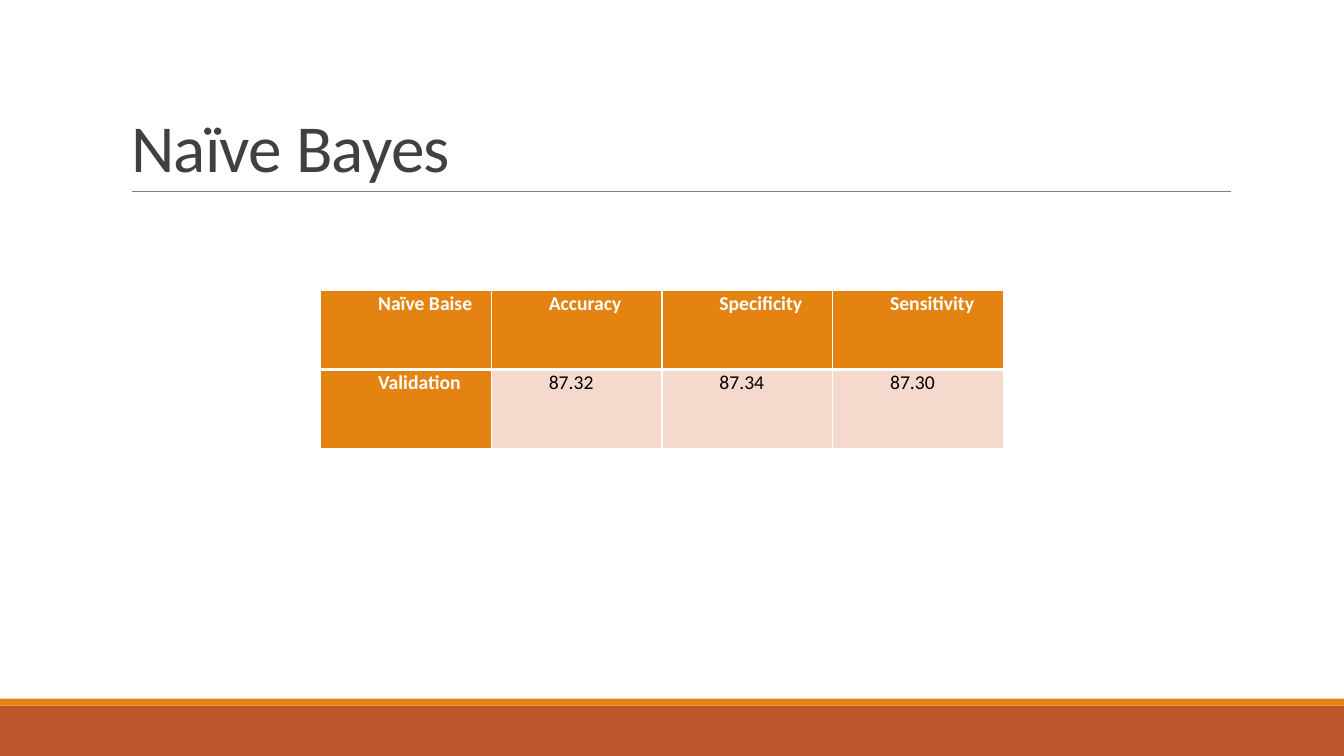
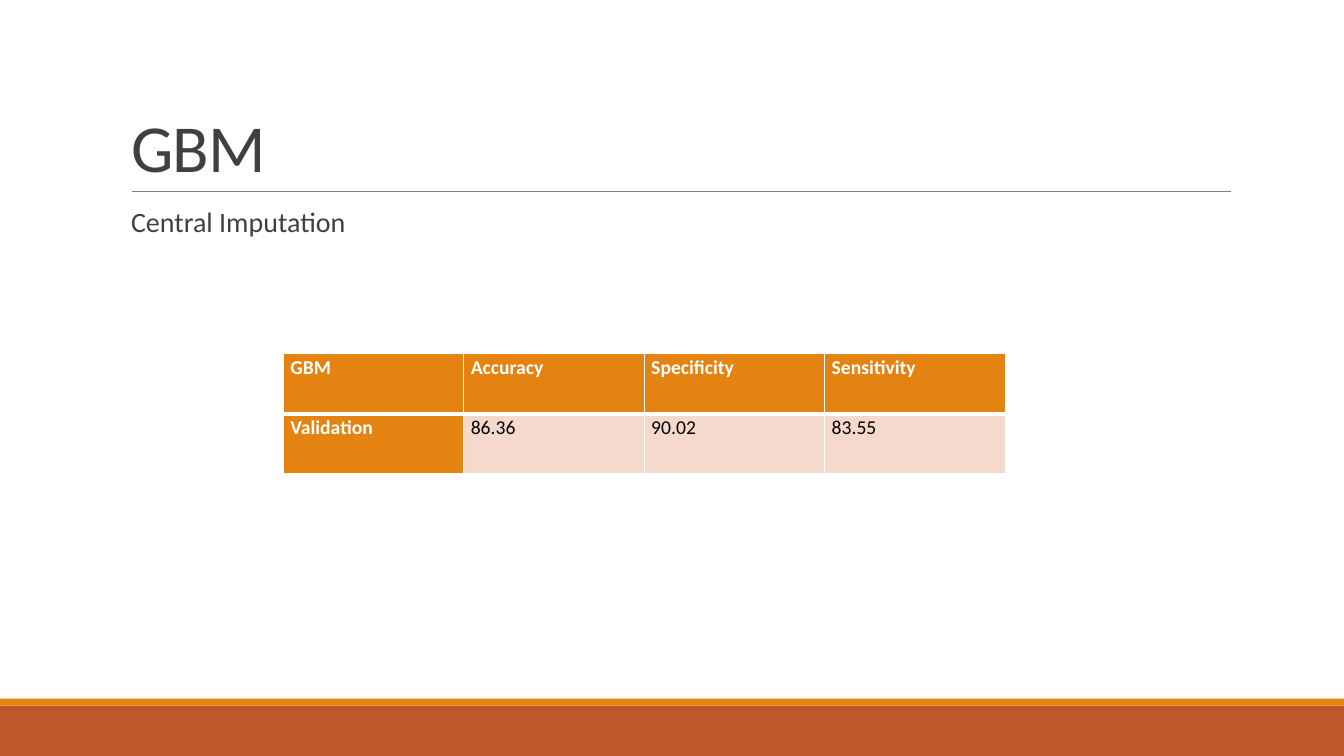
"""Build two slides that report classifier validation scores."""
from lxml.etree import SubElement
from pptx import Presentation
from pptx.dml.color import RGBColor
from pptx.enum.shapes import MSO_CONNECTOR, MSO_SHAPE
from pptx.enum.text import MSO_ANCHOR, MSO_AUTO_SIZE, PP_ALIGN
from pptx.oxml.ns import qn
from pptx.util import Inches, Pt

WIDTH, HEIGHT = Inches(13.33), Inches(7.5)
FONT = "Calibri"
COLORS = {
    "band": "BD582C",
    "accent": "E48312",
    "rule": "808080",
    "text": "404040",
    "white": "FFFFFF",
    "black": "000000",
    "tint": "F5D9CC",
}
LEFT, SPAN = 9, 82.5
TITLE_TOP, TITLE_HEIGHT = 4.13, 21.2
RULE_START, RULE_END = 9.83, 91.6
BANDS = [("band", 93.33, 6.67), ("accent", 92.4, 0.93)]
MEASURES = ["Accuracy", "Specificity", "Sensitivity"]


def color(name):
    return RGBColor.from_string(COLORS[name])


def across(percent):
    return round(WIDTH * percent / 100)


def down(percent):
    return round(HEIGHT * percent / 100)


def area(left, top, width, height):
    return across(left), down(top), across(width), down(height)


def place(shape, bounds):
    shape.left, shape.top, shape.width, shape.height = bounds


def style(para, size, color_name, bold=False, spacing=1.0, after=0):
    para.alignment = PP_ALIGN.LEFT
    para.line_spacing = spacing
    para.space_before, para.space_after = Pt(0), Pt(after)
    para.font.name, para.font.size, para.font.bold = FONT, Pt(size), bold
    para.font.color.rgb = color(color_name)


def indent(para, margin):
    properties = para._p.get_or_add_pPr()
    properties.set("marL", str(Inches(margin)))
    properties.set("indent", "0")


def add_bands(page):
    for name, top, height in BANDS:
        band = page.shapes.add_shape(MSO_SHAPE.RECTANGLE, *area(0, top, 100, height))
        band.shadow.inherit = False
        band.fill.solid()
        band.fill.fore_color.rgb = color(name)
        band.line.fill.background()


def add_rule(page):
    level = down(TITLE_TOP + TITLE_HEIGHT)
    rule = page.shapes.add_connector(
        MSO_CONNECTOR.STRAIGHT, across(RULE_START), level, across(RULE_END), level
    )
    rule.line.color.rgb = color("rule")
    rule.line.width = Pt(0.5)
    SubElement(rule._element.spPr, qn("a:effectLst"))


def set_title(page, text):
    title = page.shapes.title
    place(title, area(LEFT, TITLE_TOP, SPAN, TITLE_HEIGHT))
    frame = title.text_frame
    frame.text = text
    frame.auto_size = MSO_AUTO_SIZE.NONE
    frame.vertical_anchor = MSO_ANCHOR.BOTTOM
    para = frame.paragraphs[0]
    style(para, 48, "text", spacing=0.85)
    para._p.pPr.find(qn("a:defRPr")).set("spc", "-50")


def set_body(page, text):
    body = page.placeholders[1]
    place(body, area(LEFT, 26.93, SPAN, 58.67))
    frame = body.text_frame
    frame.text = text
    frame.auto_size = MSO_AUTO_SIZE.NONE
    frame.margin_left = frame.margin_right = 0
    para = frame.paragraphs[0]
    indent(para, 0.1)
    SubElement(para._p.pPr, qn("a:buNone"))
    style(para, 20, "text", spacing=0.9, after=2)


def add_page(deck, title, body=None):
    page = deck.slides.add_slide(deck.slide_layouts[1 if body else 5])
    add_bands(page)
    add_rule(page)
    set_title(page, title)
    if body:
        set_body(page, body)
    return page


def set_borders(cell, top, bottom):
    properties = cell._tc.get_or_add_tcPr()
    for side, width in (("L", 1), ("R", 1), ("T", top), ("B", bottom)):
        border = SubElement(properties, qn(f"a:ln{side}"), w=str(Pt(width)))
        fill = SubElement(border, qn("a:solidFill"))
        SubElement(fill, qn("a:srgbClr"), val=COLORS["white"])


def fill_cell(cell, text, is_label, margin):
    cell.text = text
    cell.margin_left = cell.margin_right = Inches(0.07)
    cell.margin_top = cell.margin_bottom = 0
    cell.fill.solid()
    cell.fill.fore_color.rgb = color("accent" if is_label else "tint")
    para = cell.text_frame.paragraphs[0]
    indent(para, margin)
    style(para, 14, "white" if is_label else "black", is_label, 1.07, 8)


def add_scores(page, bounds, model, scores, margin=0):
    rows = [[model, *MEASURES], ["Validation", *scores]]
    columns = len(rows[0])
    table = page.shapes.add_table(len(rows), columns, *bounds).table
    for column in table.columns:
        column.width = bounds[2] // columns
    for row_index, row in enumerate(rows):
        table.rows[row_index].height = bounds[3] // len(rows)
        is_header = row_index == 0
        for column_index, text in enumerate(row):
            cell = table.cell(row_index, column_index)
            set_borders(cell, *((1, 3) if is_header else (3, 1)))
            fill_cell(cell, text, is_header or column_index == 0, margin)


def main():
    deck = Presentation()
    deck.slide_width, deck.slide_height = WIDTH, HEIGHT

    page = add_page(deck, "Naïve Bayes")
    bounds = area(23.86, 38.4, 50.79, 20.93)
    add_scores(page, bounds, "Naïve Baise", ["87.32", "87.34", "87.30"], margin=0.5)

    page = add_page(deck, "GBM", "Central Imputation")
    bounds = area(21.08, 46.8, 53.71, 15.87)
    add_scores(page, bounds, "GBM", ["86.36", "90.02", "83.55"])

    deck.save("out.pptx")


if __name__ == "__main__":
    main()
